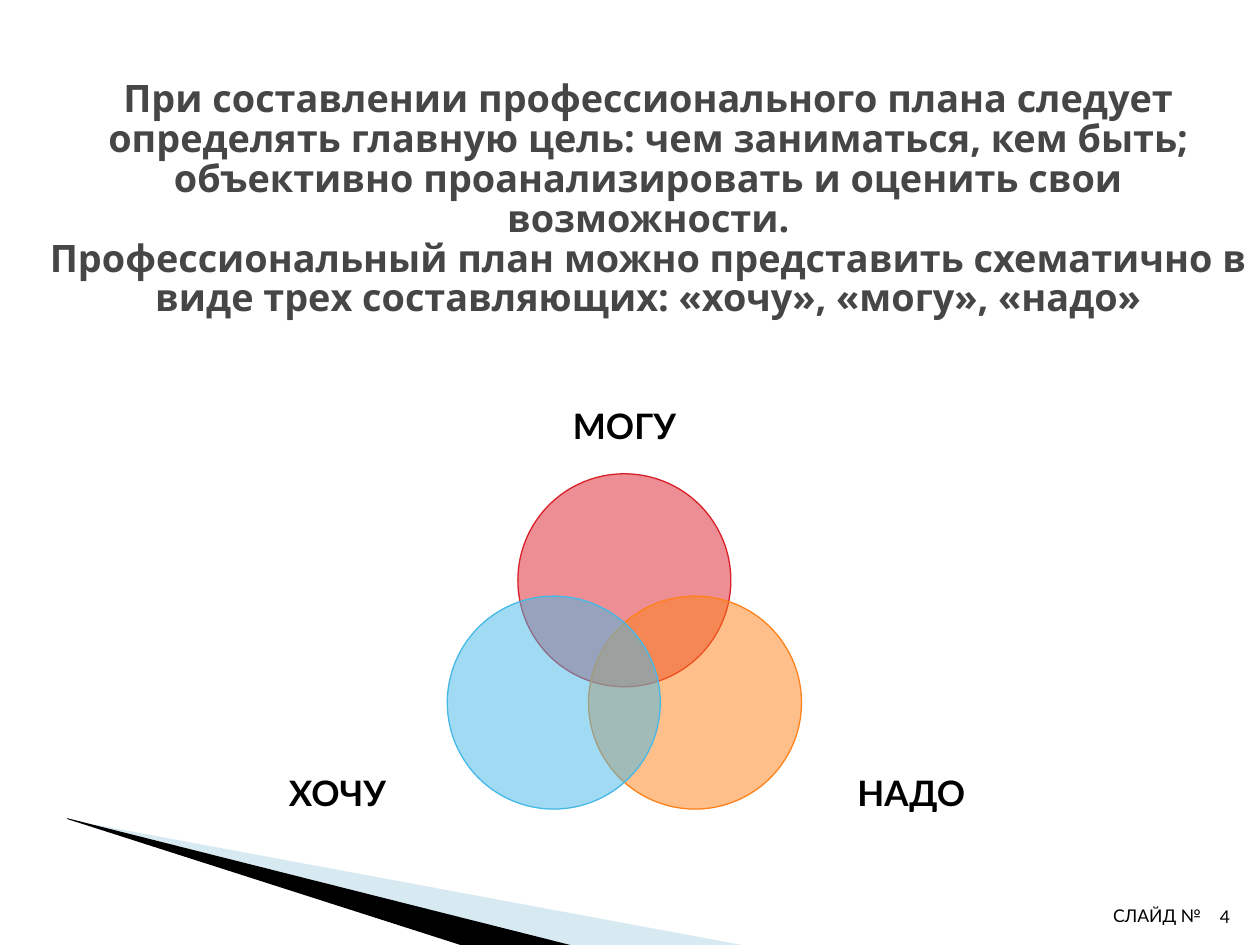
import math

import pptx
import pptx.dml.color
import pptx.enum.shapes
import pptx.enum.text
import pptx.oxml
import pptx.oxml.ns
import pptx.util

Pt = pptx.util.Pt
ALIGN = pptx.enum.text.PP_ALIGN
ANCHOR = pptx.enum.text.MSO_ANCHOR

COLOURS = {
    "title": "464646",
    "text": "000000",
    "can": "DA1F28",
    "must": "FF8119",
    "want": "44B9E8",
    "pale wedge": "9FCBDC",
    "dark wedge": "000000",
}
TITLE = (
    "При составлении профессионального плана следует определять главную цель: "
    "чем заниматься, кем быть; объективно проанализировать и оценить свои возможности."
    "\vПрофессиональный план можно представить схематично в виде трех составляющих: "
    "«хочу», «могу», «надо»"
)
TITLE_FONT = {"name": "Noto Sans", "size": Pt(21.6), "bold": True}
LABEL_FONT = {"name": "Lato", "size": Pt(20), "bold": True}
FOOTER_FONT = {"name": "Lato", "size": Pt(10), "bold": False}


def colour(name):
    return pptx.dml.color.RGBColor.from_string(COLOURS[name])


def set_attributes(target, values):
    for name, value in values.items():
        setattr(target, name, value)


def place(shape, box):
    set_attributes(shape, dict(zip(("left", "top", "width", "height"), map(Pt, box))))


def write(shape, text, font, colour_name="text", align=ALIGN.CENTER,
          anchor=ANCHOR.MIDDLE, spacing=1.0):
    frame = shape.text_frame
    set_attributes(frame, {
        "word_wrap": True,
        "auto_size": pptx.enum.text.MSO_AUTO_SIZE.NONE,
        "vertical_anchor": anchor,
        "margin_left": Pt(7.2), "margin_right": Pt(7.2),
        "margin_top": Pt(3.6), "margin_bottom": Pt(3.6),
    })
    paragraph = frame.paragraphs[0]
    paragraph.text = text
    set_attributes(paragraph, {"alignment": align, "line_spacing": spacing})
    for run in paragraph.runs:
        set_attributes(run.font, font)
        run.font.color.rgb = colour(colour_name)


def add_text(slide, box, text, font, **options):
    write(slide.shapes.add_textbox(*map(Pt, box)), text, font, **options)


def fill_shape(shape, colour_name, opacity=100):
    shape.shadow.inherit = False
    shape.fill.solid()
    shape.fill.fore_color.rgb = colour(colour_name)
    if opacity < 100:
        tag = pptx.oxml.ns.qn("a:srgbClr")
        for element in shape.fill._xPr.solidFill.iter(tag):
            alpha = pptx.oxml.parse_xml(
                f'<a:alpha {pptx.oxml.ns.nsdecls("a")} val="{opacity * 1000}"/>')
            element.append(alpha)


def add_wedges(slide, left, top):
    """Corner decoration; points are relative to its tip."""
    wedges = (
        ("pale wedge", 40, ((1.4, 1), (390.2, 73.3), (290.1, 73.3), (1.4, 0.7))),
        ("dark wedge", 100, ((0, 0), (290.9, 73.3), (229.7, 74), (0.7, 0.7))),
    )
    for name, opacity, points in wedges:
        corners = [(Pt(left + x), Pt(top + y)) for x, y in points]
        builder = slide.shapes.build_freeform(*corners[0], scale=1.0)
        builder.add_line_segments(corners[1:], close=True)
        shape = builder.convert_to_shape()
        fill_shape(shape, name, opacity)
        shape.line.fill.background()


def add_title(slide, box):
    title = slide.shapes.title
    place(title, box)
    write(title, TITLE, TITLE_FONT, colour_name="title", spacing=0.88)


def add_venn(slide, centre_x, centre_y, diameter):
    """Three circles on the corners of an equilateral triangle, with labels."""
    offset = 46.6
    label_height = 30.2
    parts = (
        ("can", "МОГУ", -90, 0, -134.8),
        ("must", "НАДО", 30, 164, 74.8),
        ("want", "ХОЧУ", 150, -164, 74.8),
    )
    for name, text, degrees, label_x, label_y in parts:
        angle = math.radians(degrees)
        left = centre_x + offset * math.cos(angle) - diameter / 2
        top = centre_y + offset * math.sin(angle) - diameter / 2
        circle = slide.shapes.add_shape(
            pptx.enum.shapes.MSO_SHAPE.OVAL, *map(Pt, (left, top, diameter, diameter)))
        fill_shape(circle, name, 50)
        circle.line.color.rgb = colour(name)
        circle.line.width = Pt(0.75)
        add_text(slide, (centre_x + label_x - diameter / 2,
                         centre_y + label_y - label_height / 2,
                         diameter, label_height), text, LABEL_FONT)


def add_footer(slide, left, top):
    """Slide number and its caption, both right-aligned."""
    options = {"align": ALIGN.RIGHT, "anchor": ANCHOR.BOTTOM}
    add_text(slide, (left + 172.8, top + 0.7, 28.8, 28.8), "4", FOOTER_FONT, **options)
    add_text(slide, (left, top, 185, 28.8), "СЛАЙД №", FOOTER_FONT, **options)


def main():
    presentation = pptx.Presentation()
    set_attributes(presentation, {"slide_width": Pt(720), "slide_height": Pt(540)})
    slide = presentation.slides.add_slide(presentation.slide_layouts[5])
    add_wedges(slide, 38.2, 467.5)
    add_title(slide, (20.9, 18.7, 699.1, 191.5))
    add_venn(slide, 356.8, 378.2, 121.7)
    add_footer(slide, 508.3, 504)
    presentation.save("out.pptx")


if __name__ == "__main__":
    main()
